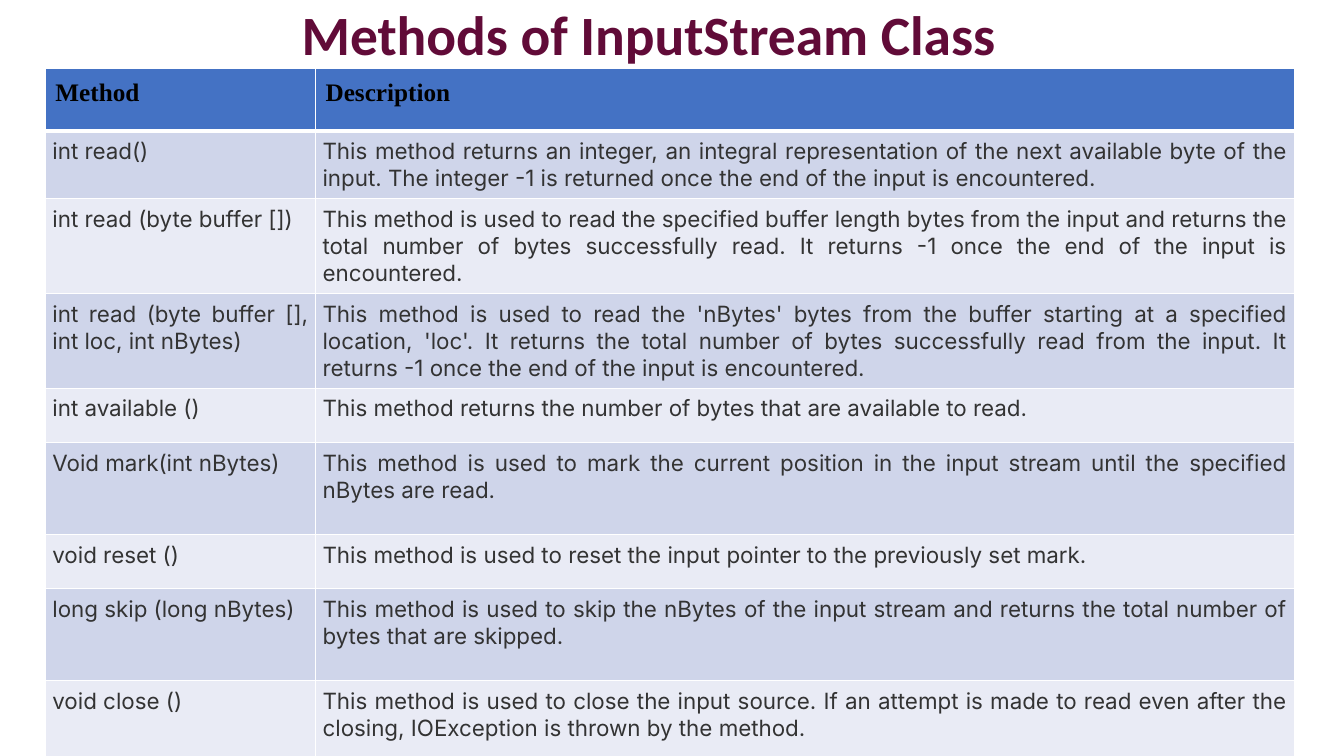
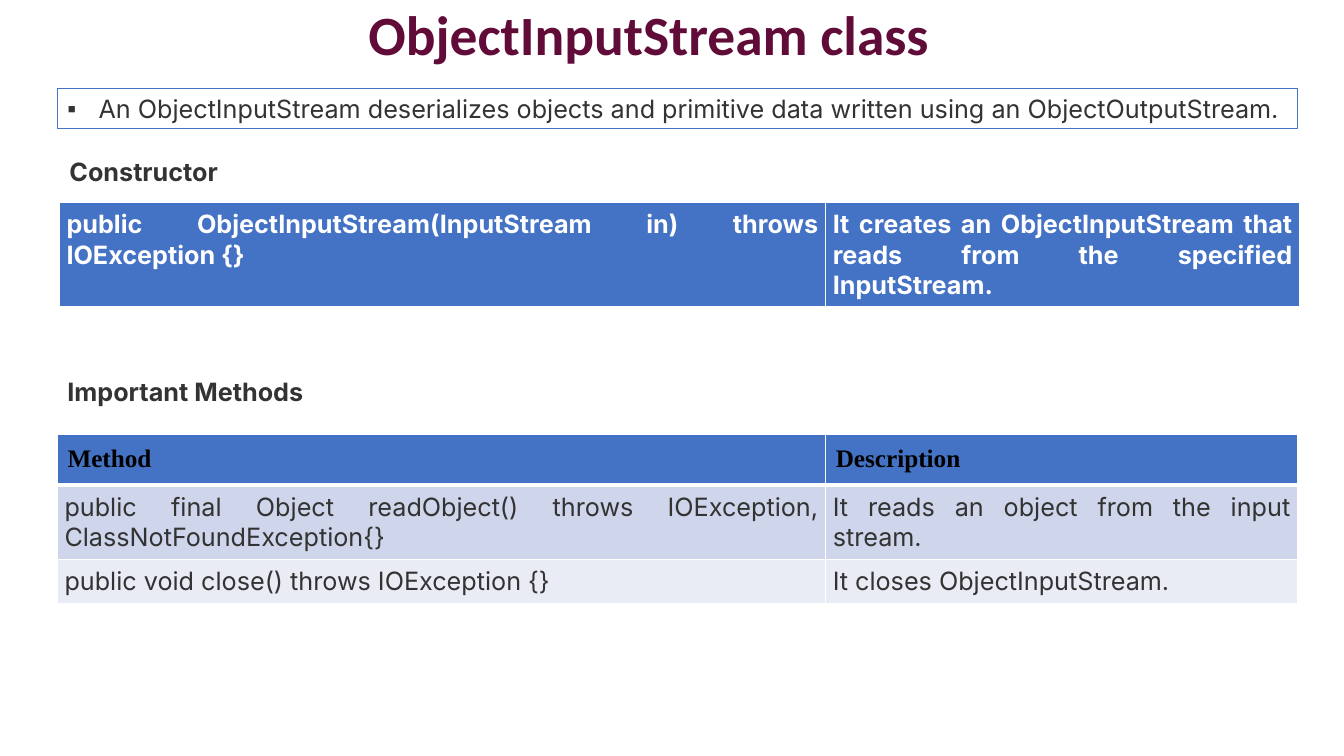
from lxml import etree
from pptx import Presentation
from pptx import util as u
from pptx.dml import color
from pptx.enum import shapes, text
from pptx.oxml import ns

Inches = u.Inches
rgb = color.RGBColor.from_string

# Shared look
BLUE, WHITE, INK = "4472C4", "FFFFFF", "333333"
BANDS = ["CFD5EA", "E9EBF5"]
LEFT, JUSTIFY = text.PP_ALIGN.LEFT, text.PP_ALIGN.JUSTIFY
TOP, MIDDLE = text.MSO_ANCHOR.TOP, text.MSO_ANCHOR.MIDDLE

TITLE = {"name": "Calibri", "size": u.Pt(39.6), "bold": True, "color": "610B38"}
BODY = {"name": "Inter", "size": u.Pt(18), "bold": False, "color": INK}
SMALL = BODY | {"size": u.Pt(16)}
HEADING = BODY | {"bold": True}
BANNER = HEADING | {"color": WHITE}
HEADER = {"name": "Times New Roman", "size": u.Pt(18), "bold": True, "color": "000000"}


def write(frame, words, style, align=LEFT, anchor=TOP):
    frame.word_wrap = True
    frame.vertical_anchor = anchor
    paragraph = frame.paragraphs[0]
    paragraph.alignment = align
    run = paragraph.add_run()
    run.text = words
    for name, value in style.items():
        if name == "color":
            run.font.color.rgb = rgb(value)
        else:
            setattr(run.font, name, value)
    return paragraph


def add_table(slide, left, top, widths, heights, rows, styles):
    """The first row is blue; the rows below it alternate between the bands."""
    frame = slide.shapes.add_table(len(rows), len(widths), Inches(left), Inches(top),
                                   Inches(sum(widths)), Inches(sum(heights)))
    table = frame.table
    table.horz_banding = False
    for column, width in zip(table.columns, widths):
        column.width = Inches(width)
    for index, (row, height, words, style) in enumerate(zip(table.rows, heights, rows, styles)):
        row.height = Inches(height)
        is_header = style is HEADER
        margin = Inches(0.1 if is_header else 0.07)
        for cell, cell_words in zip(row.cells, words):
            for side in ("left", "right", "top", "bottom"):
                setattr(cell, f"margin_{side}", margin)
            write(cell.text_frame, cell_words, style, LEFT if is_header else JUSTIFY)
            # White borders, heavier under the first row
            properties = cell._tc.get_or_add_tcPr()
            for side in "LRTB":
                heavy = (index, side) in [(0, "B"), (1, "T")]
                line = etree.SubElement(properties, ns.qn(f"a:ln{side}"),
                                        w=str(u.Pt(3 if heavy else 1)))
                fill = etree.SubElement(line, ns.qn("a:solidFill"))
                etree.SubElement(fill, ns.qn("a:srgbClr"), val=WHITE)
            cell.fill.solid()
            cell.fill.fore_color.rgb = rgb(BANDS[(index - 1) % 2] if index else BLUE)


presentation = Presentation()
presentation.slide_width, presentation.slide_height = Inches(13.33), Inches(7.5)

# Slides and their titles
slides = []
for title in ("Methods of InputStream Class", "ObjectInputStream class"):
    slide = presentation.slides.add_slide(presentation.slide_layouts[6])
    box = slide.shapes.add_textbox(Inches(0.45), 0, Inches(11.97), Inches(0.74))
    paragraph = write(box.text_frame, title, TITLE, text.PP_ALIGN.CENTER, MIDDLE)
    paragraph.line_spacing = 0.9
    slides.append(slide)
stream_slide, object_slide = slides

# InputStream methods
column_names = ("Method", "Description")
stream_methods = [
    column_names,
    ("int read()",
     "This method returns an integer, an integral representation of the next available byte "
     "of the input. The integer -1 is returned once the end of the input is encountered."),
    ("int read (byte buffer [])",
     "This method is used to read the specified buffer length bytes from the input and returns "
     "the total number of bytes successfully read. It returns -1 once the end of the input is "
     "encountered."),
    ("int read (byte buffer [], int loc, int nBytes)",
     "This method is used to read the 'nBytes' bytes from the buffer starting at a specified "
     "location, 'loc'. It returns the total number of bytes successfully read from the input. "
     "It returns -1 once the end of the input is encountered."),
    ("int available ()",
     "This method returns the number of bytes that are available to read."),
    ("Void mark(int nBytes)",
     "This method is used to mark the current position in the input stream until the specified "
     "nBytes are read."),
    ("void reset ()",
     "This method is used to reset the input pointer to the previously set mark."),
    ("long skip (long nBytes)",
     "This method is used to skip the nBytes of the input stream and returns the total number "
     "of bytes that are skipped."),
    ("void close ()",
     "This method is used to close the input source. If an attempt is made to read even after "
     "the closing, IOException is thrown by the method."),
]
add_table(stream_slide, 0.45, 0.68, [2.68, 9.71],
          [0.62, 0.66, 0.94, 0.94, 0.54, 0.91, 0.54, 0.91, 0.91],
          stream_methods, [HEADER] + [SMALL] * 8)

# Outlined summary with a square bullet
summary = object_slide.shapes.add_shape(shapes.MSO_SHAPE.RECTANGLE, Inches(0.57), Inches(0.88),
                                        Inches(12.3), Inches(0.4))
summary.shadow.inherit = False
summary.fill.background()
summary.line.color.rgb = rgb(BLUE)
summary.line.width = u.Pt(0.75)
paragraph = write(
    summary.text_frame,
    "An ObjectInputStream deserializes objects and primitive data written using an "
    "ObjectOutputStream.", BODY)
properties = paragraph._p.get_or_add_pPr()
properties.set("marL", str(Inches(0.31)))
properties.set("indent", str(-Inches(0.31)))
etree.SubElement(properties, ns.qn("a:buFont"), typeface="Arial")
etree.SubElement(properties, ns.qn("a:buChar"), char="▪")

# Section headings
for left, top, heading in [(0.59, 1.5, "Constructor"), (0.57, 3.68, "Important Methods")]:
    box = object_slide.shapes.add_textbox(Inches(left), Inches(top), Inches(6.66), Inches(0.4))
    write(box.text_frame, heading, HEADING)

# Constructor and methods of ObjectInputStream
constructor = [("public ObjectInputStream(InputStream in) throws IOException {}",
                "It creates an ObjectInputStream that reads from the specified InputStream.")]
add_table(object_slide, 0.59, 2.01, [7.6, 4.7], [0.41], constructor, [BANNER])

object_methods = [
    column_names,
    ("public final Object readObject() throws IOException, ClassNotFoundException{}",
     "It reads an object from the input stream."),
    ("public void close() throws IOException {}", "It closes ObjectInputStream."),
]
add_table(object_slide, 0.57, 4.31, [7.62, 4.68], [0.41] * 3, object_methods,
          [HEADER, BODY, BODY])

presentation.save("out.pptx")
